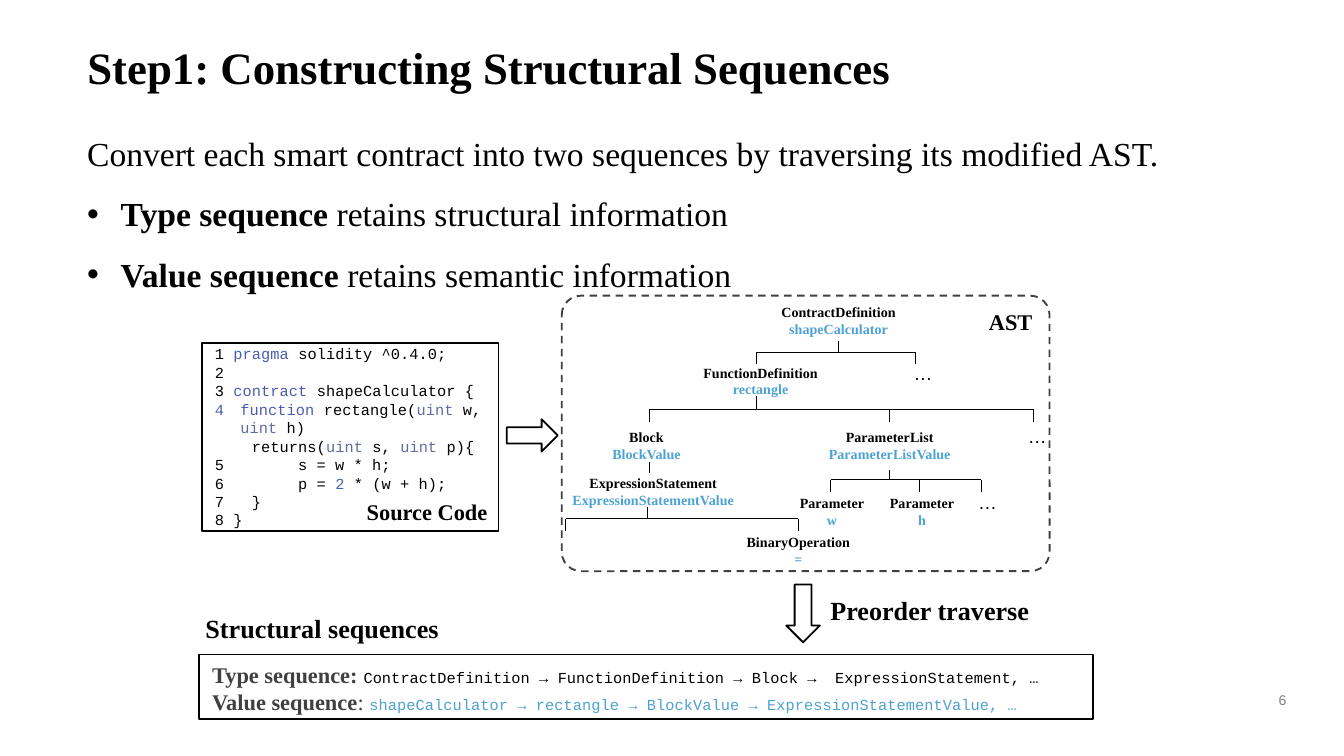
from dataclasses import dataclass

from lxml import etree
from pptx import Presentation
from pptx.dml.color import RGBColor
from pptx.enum.dml import MSO_LINE
from pptx.enum.shapes import MSO_CONNECTOR, MSO_SHAPE
from pptx.enum.text import MSO_ANCHOR, PP_ALIGN
from pptx.oxml.ns import qn
from pptx.util import Pt

PX = 9144  # 100 px to the inch
TITLE_ONLY = 5
STRAIGHT = MSO_CONNECTOR.STRAIGHT
RECTANGLE, ROUNDED = MSO_SHAPE.RECTANGLE, MSO_SHAPE.ROUNDED_RECTANGLE
RIGHT_ARROW = MSO_SHAPE.RIGHT_ARROW
DASH = MSO_LINE.DASH
TOP, MIDDLE = MSO_ANCHOR.TOP, MSO_ANCHOR.MIDDLE
LEFT, CENTER, RIGHT = PP_ALIGN.LEFT, PP_ALIGN.CENTER, PP_ALIGN.RIGHT


@dataclass(frozen=True)
class Style:
    font: str
    size: float
    colour: str = "000000"
    bold: bool = False


@dataclass(frozen=True)
class Theme:
    serif: str = "Times New Roman"
    sans: str = "Arial"
    white: str = "FFFFFF"
    black: str = "000000"
    grey: str = "404040"
    title: Style = Style(serif, 24, bold=True)
    body: Style = Style(serif, 18)
    strong: Style = Style(serif, 18, bold=True)
    heading: Style = Style(serif, 14, bold=True)
    label: Style = Style(serif, 12, bold=True)
    sequence: Style = Style(serif, 12, grey, True)
    colon: Style = Style(serif, 12, grey)
    code: Style = Style("Courier New", 8.25)
    keyword: Style = Style("Courier New", 8.25, "4B5DB1")
    type_name: Style = Style("Courier New", 8.25, "606CA2")
    value: Style = Style("Courier New", 8.25, "4CA2D3")
    node_type: Style = Style(serif, 7.5, bold=True)
    node_value: Style = Style(serif, 7.5, "4CA2D3", True)
    ellipsis: Style = Style(sans, 10.1)
    number: Style = Style(sans, 7.5, "808080")


THEME = Theme()


@dataclass(frozen=True)
class Box:
    left: int
    top: int
    width: int
    height: int

    def inner(self, left, top, width, height):
        return Box(self.left + left, self.top + top, width, height)

    def emu(self):
        return [n * PX for n in (self.left, self.top, self.width, self.height)]


def fill_text(text_frame, paragraphs, align=LEFT, anchor=TOP, wrap=True):
    """Write paragraphs, each a list of (text, style) runs."""
    text_frame.word_wrap = wrap
    text_frame.vertical_anchor = anchor
    for index, runs in enumerate(paragraphs):
        paragraph = text_frame.add_paragraph() if index else text_frame.paragraphs[0]
        paragraph.alignment = align
        for text, style in runs:
            run = paragraph.add_run()
            run.text = text
            run.font.name = style.font
            run.font.size = Pt(style.size)
            run.font.bold = style.bold
            run.font.color.rgb = RGBColor.from_string(style.colour)


def add_text(shapes, box, paragraphs, **options):
    text_frame = shapes.add_textbox(*box.emu()).text_frame
    fill_text(text_frame, paragraphs, **options)
    return text_frame


def add_label(shapes, box, text, style):
    add_text(shapes, box, [[(text, style)]], wrap=False)


def add_outline(shapes, kind, box, colour=THEME.black, fill=None):
    shape = shapes.add_shape(kind, *box.emu())
    shape.shadow.inherit = False
    if fill:
        shape.fill.solid()
        shape.fill.fore_color.rgb = RGBColor.from_string(fill)
    else:
        shape.fill.background()
    shape.line.color.rgb = RGBColor.from_string(colour)
    shape.line.width = Pt(1)
    return shape


def hang(paragraph, indent, font, tag, **attributes):
    """Give a paragraph a bullet or number and a hanging indent in px."""
    properties = paragraph._p.get_or_add_pPr()
    properties.set("marL", str(indent * PX))
    properties.set("indent", str(-indent * PX))
    etree.SubElement(properties, qn("a:buFont"), typeface=font)
    etree.SubElement(properties, qn(tag), **attributes)


def add_title(slide, box):
    title = slide.shapes.title
    title.left, title.top, title.width, title.height = box.emu()
    fill_text(title.text_frame,
              [[("Step1: Constructing Structural Sequences", THEME.title)]], anchor=MIDDLE)
    title.text_frame.paragraphs[0].line_spacing = 0.9


def add_introduction(slide, box):
    text_frame = add_text(slide.shapes, box, [
        [("Convert each smart contract into two sequences by traversing its modified AST.",
          THEME.body)],
        [("Type sequence", THEME.strong), (" retains structural information", THEME.body)],
        [("Value sequence ", THEME.strong), ("retains semantic information", THEME.body)],
    ])
    for index, paragraph in enumerate(text_frame.paragraphs):
        paragraph.line_spacing = 1.5
        if index:
            hang(paragraph, 25, THEME.sans, "a:buChar", char="•")


def add_source_code(slide, box):
    code, keyword, type_name = THEME.code, THEME.keyword, THEME.type_name
    uint = ("uint", type_name)
    text_frame = add_outline(slide.shapes, RECTANGLE, box, fill=THEME.white).text_frame
    text_frame.margin_right = 3 * PX
    fill_text(text_frame, [
        [("1 ", code), ("pragma", keyword), (" solidity ^0.4.0;", code)],
        [("2", code)],
        [("3 ", code), ("contract ", keyword), ("shapeCalculator {", code)],
        [("function", keyword), (" rectangle(", code), uint, (" w, ", code), uint, (" h)", code)],
        [("    returns(", code), uint, (" s, ", code), uint, (" p){", code)],
        [("5        s = w * h;", code)],
        [("6        p = ", code), ("2", keyword), (" * (w + h);", code)],
        [("7   }", code)],
        [("8 }", code)],
    ], anchor=MIDDLE)
    hang(text_frame.paragraphs[3], 19, code.font, "a:buAutoNum",
         type="arabicPlain", startAt="4")
    add_label(slide.shapes, box.inner(113, 111, 111, 30), "Source Code", THEME.label)


def add_line(shapes, box, start, end):
    """Draw a thin line between two points relative to the box."""
    points = [(box.left + x, box.top + y) for x, y in (start, end)]
    line = shapes.add_connector(STRAIGHT, *[n * PX for point in points for n in point])
    line.line.color.rgb = RGBColor.from_string(THEME.black)
    line.line.width = Pt(0.5)
    etree.SubElement(line._element.spPr, qn("a:effectLst"))


def add_branch(shapes, box, stem, top, bar, children):
    """Draw a stem down to a bar, and a drop from the bar to each child."""
    add_line(shapes, box, (stem, top), (stem, bar))
    add_line(shapes, box, (children[0], bar), (children[-1], bar))
    for child in children:
        add_line(shapes, box, (child, bar), (child, bar + 9))


def add_syntax_tree(slide, box):
    shapes = slide.shapes.add_group_shape().shapes
    frame = add_outline(shapes, ROUNDED, box, THEME.grey)
    frame.adjustments[0] = 0.07
    frame.line.dash_style = DASH
    add_label(shapes, box.inner(308, 4, 53, 30), "AST", THEME.label)

    for center, top, width, node_type, value in [
        (206, 1, 106, "ContractDefinition", "shapeCalculator"),
        (148, 46, 106, "FunctionDefinition", "rectangle"),
        (63, 94, 72, "Block", "BlockValue"),
        (244, 94, 112, "ParameterList", "ParameterListValue"),
        (68, 128, 142, "ExpressionStatement", "ExpressionStatementValue"),
        (201, 143, 68, "Parameter", "w"),
        (268, 143, 68, "Parameter", "h"),
        (176, 172, 98, "BinaryOperation", "="),
    ]:
        add_text(shapes, box.inner(center - width // 2, top, width, 35),
                 [[(node_type, THEME.node_type)], [(value, THEME.node_value)]],
                 align=CENTER, wrap=False)
    for left, top in [(252, 44), (337, 91), (300, 140)]:
        add_label(shapes, box.inner(left, top, 34, 27), "…", THEME.ellipsis)

    add_branch(shapes, box, 206, 34, 42, (145, 263))
    add_branch(shapes, box, 145, 75, 85, (65, 244, 351))
    add_branch(shapes, box, 244, 130, 137, (200, 266, 312))
    add_branch(shapes, box, 64, 157, 166, (3, 176))
    add_line(shapes, box, (65, 124), (65, 132))


def add_traversal(slide, box):
    arrow = add_outline(slide.shapes, RIGHT_ARROW, box.inner(0, 7, 43, 25))
    arrow.rotation = 90
    add_label(slide.shapes, box.inner(32, 0, 170, 34), "Preorder traverse", THEME.heading)


def add_sequences(slide, box):
    add_label(slide.shapes, box.inner(-5, -36, 195, 34), "Structural sequences", THEME.heading)
    frame = add_outline(slide.shapes, RECTANGLE, box)
    fill_text(frame.text_frame, [
        [("Type sequence: ", THEME.sequence),
         ("ContractDefinition → FunctionDefinition → Block →  ExpressionStatement, …",
          THEME.code)],
        [("Value sequence", THEME.sequence), (": ", THEME.colon),
         ("shapeCalculator → rectangle → BlockValue → ExpressionStatementValue, …",
          THEME.value)],
    ])


def main():
    presentation = Presentation()
    presentation.slide_width = 1000 * PX
    presentation.slide_height = presentation.slide_width * 9 // 16
    slide = presentation.slides.add_slide(presentation.slide_layouts[TITLE_ONLY])
    add_title(slide, Box(55, 10, 890, 84))
    add_introduction(slide, Box(55, 79, 865, 173))
    add_source_code(slide, Box(150, 255, 221, 140))
    add_outline(slide.shapes, RIGHT_ARROW, Box(377, 312, 38, 24))
    add_syntax_tree(slide, Box(418, 220, 363, 205))
    add_traversal(slide, Box(576, 437, 202, 34))
    add_sequences(slide, Box(148, 487, 665, 48))
    add_text(slide.shapes, Box(728, 512, 239, 17), [[("6", THEME.number)]],
             align=RIGHT, anchor=MIDDLE)
    presentation.save("out.pptx")


if __name__ == "__main__":
    main()
